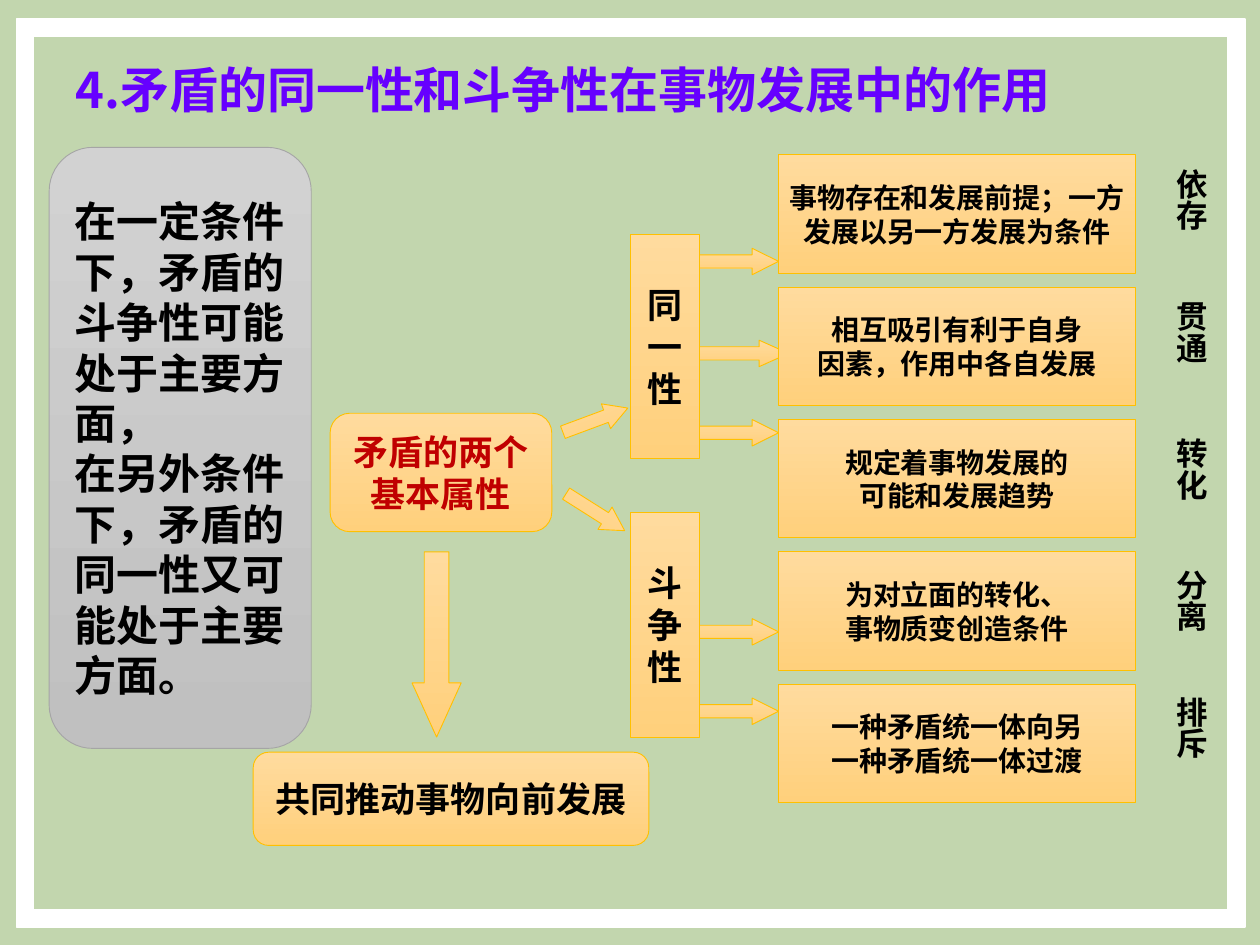
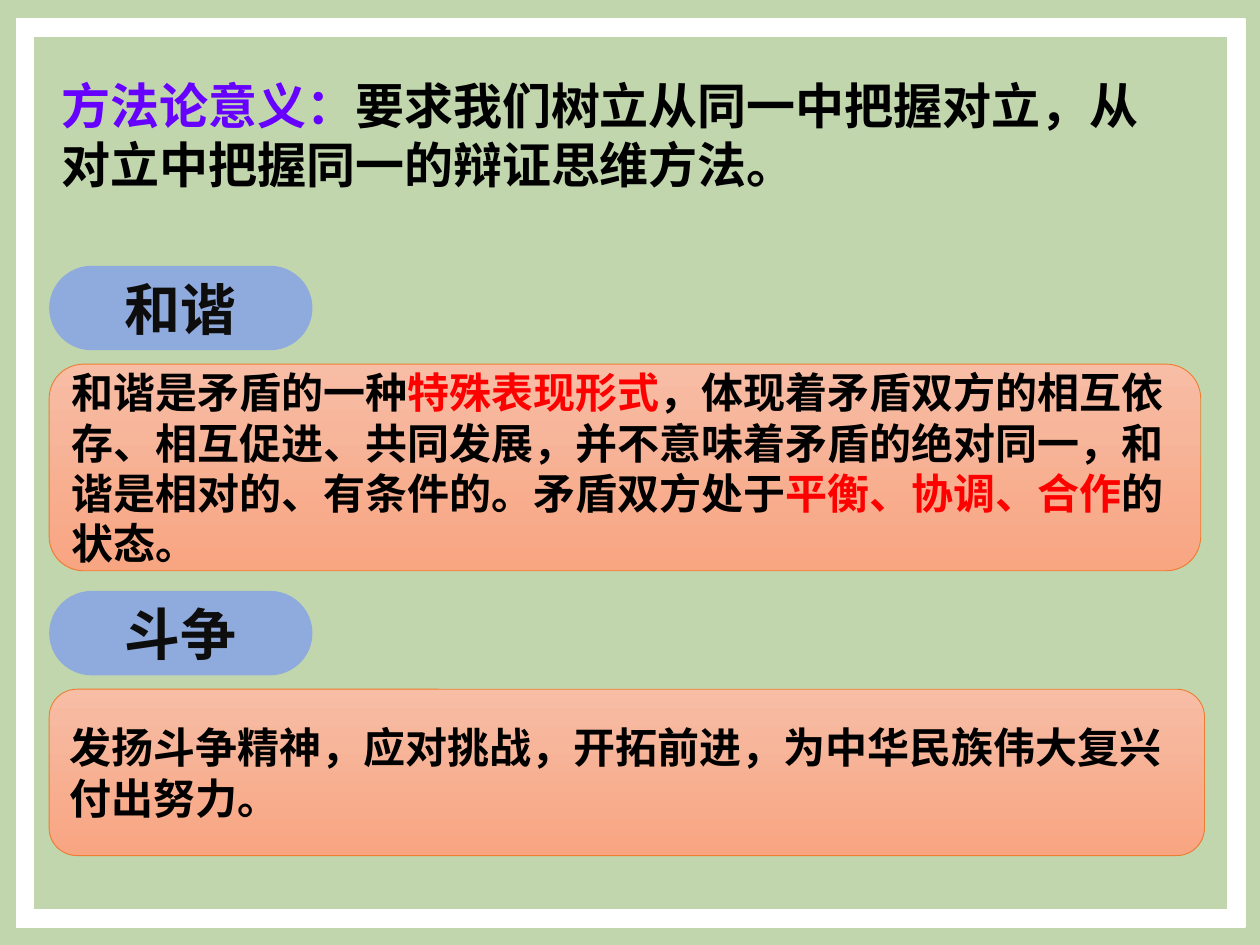
from pptx import Presentation
from pptx.dml.color import RGBColor
from pptx.enum import shapes, text
from pptx.oxml.ns import qn
from pptx.util import Inches, Pt
from lxml import etree

KIND = shapes.MSO_SHAPE
LEFT, CENTER = text.PP_ALIGN.LEFT, text.PP_ALIGN.CENTER
SC, JP, ARIAL = "Noto Sans CJK SC", "Noto Sans CJK JP", "Arial"

COLORS = {
    "page": "C2D6AE", "white": "FFFFFF", "black": "000000", "title": "6600FF",
    "dark_red": "C00000", "red": "FF0000", "pill": "8FAADC", "pill_text": "0D0D0D",
}
# Gradient top, gradient bottom, outline
THEMES = {
    "gold": ("FFDB9E", "FFD07C", "FFC000"),
    "gray": ("D2D2D2", "C0C0C0", "A5A5A5"),
    "coral": ("F7BDA5", "F8A582", "ED7D31"),
}

# ---- Content: text is a list of paragraphs, each a list of (words, colour) ----
ROLE_TITLE = [[("4.矛盾的同一性和斗争性在事物发展中的作用", "title")]]
CONDITIONS = [
    [("在一定条件下，矛盾的斗争性可能处于主要方面，", "black")],
    [("在另外条件下，矛盾的同一性又可能处于主要方面。", "black")],
]
CORE = [[("矛盾的两个基本属性", "dark_red")]]
RESULT = [[("共同推动事物向前发展", "black")]]
ATTRIBUTES = [("同一性", 1.86), ("斗争性", 4.07)]  # words, top
# Lines of the effect, keyword beside it, top of the keyword
EFFECTS = [
    (("事物存在和发展前提；一方", "发展以另一方发展为条件"), "依存", 1.24),
    (("相互吸引有利于自身", "因素，作用中各自发展"), "贯通", 2.29),
    (("规定着事物发展的", "可能和发展趋势"), "转化", 3.38),
    (("为对立面的转化、", "事物质变创造条件"), "分离", 4.42),
    (("一种矛盾统一体向另", "一种矛盾统一体过渡"), "排斥", 5.43),
]
EFFECT_ARROWS = [(1.97, 0.63), (2.7, 0.71), (3.33, 0.63), (4.91, 0.63), (5.54, 0.63)]
BRANCH_ARROWS = [(3.23, 339.6), (3.96, 32.3)]  # top, rotation

METHOD_TITLE = [[("方法论意义：", "title"),
                 ("要求我们树立从同一中把握对立，从对立中把握同一的辩证思维方法。", "black")]]
HARMONY = [[
    ("和谐是矛盾的一种", "black"), ("特殊表现形式", "red"),
    ("，体现着矛盾双方的相互依存、相互促进、共同发展，并不意味着矛盾的绝对同一，"
     "和谐是相对的、有条件的。矛盾双方处于", "black"),
    ("平衡、协调、合作", "red"), ("的状态。", "black"),
]]
STRUGGLE = [[("发扬斗争精神，应对挑战，开拓前进，为中华民族伟大复兴付出努力。", "black")]]
# Heading, its top, body, place of the body
SECTIONS = [
    ("和谐", 2.11, HARMONY, (0.39, 2.89, 9.14, 1.64)),
    ("斗争", 4.69, STRUGGLE, (0.39, 5.47, 9.17, 1.32)),
]

# ---- Grid of the diagram, in inches ----
MARGIN = 0.39
ATTRIBUTE_X, ATTRIBUTE_W, ATTRIBUTE_H = 5, 0.55, 1.78
EFFECT_X, EFFECT_W, EFFECT_H = 6.18, 2.83, 0.94
EFFECT_TOP, EFFECT_PITCH = 1.23, 1.05
KEYWORD_X, KEYWORD_W = 9.15, 0.5
ARROW_H = 0.21


def rgb(name):
    return RGBColor.from_string(COLORS[name])


def write(shape, paragraphs, size, font=SC, align=LEFT,
          anchor=text.MSO_ANCHOR.MIDDLE, wrap=True):
    frame = shape.text_frame
    frame.word_wrap = wrap
    frame.auto_size = text.MSO_AUTO_SIZE.NONE
    frame.vertical_anchor = anchor
    for i, runs in enumerate(paragraphs):
        paragraph = frame.add_paragraph() if i else frame.paragraphs[0]
        paragraph.alignment = align
        paragraph.line_spacing = Pt(size * 1.2)
        for words, color in runs:
            run = paragraph.add_run()
            run.text = words
            run.font.size, run.font.bold, run.font.name = Pt(size), True, font
            run.font.color.rgb = rgb(color)
            east_asian = etree.Element(qn("a:ea"), typeface=SC if font == ARIAL else font)
            run.font._element.find(qn("a:latin")).addnext(east_asian)


def draw(slide, kind, place, theme=None, fill=None, adjust=()):
    """Add a preset shape with a themed gradient or a plain fill."""
    shape = slide.shapes.add_shape(kind, *map(Inches, place))
    shape.shadow.inherit = False
    for i, value in enumerate(adjust):
        shape.adjustments[i] = value
    if theme:
        top, bottom, outline = THEMES[theme]
        shape.fill.gradient()
        shape.fill.gradient_angle = 270
        for stop, color in zip(shape.fill.gradient_stops, (top, bottom)):
            stop.color.rgb = RGBColor.from_string(color)
        shape.line.color.rgb = RGBColor.from_string(outline)
        shape.line.width = Pt(0.5)
    else:
        shape.fill.solid()
        shape.fill.fore_color.rgb = rgb(fill)
        shape.line.fill.background()
    return shape


def add_slide(prs, title, place):
    slide = prs.slides.add_slide(prs.slide_layouts[5])
    heading = slide.shapes.title
    heading.left, heading.top, heading.width, heading.height = map(Inches, place)
    write(heading, title, 28, anchor=text.MSO_ANCHOR.TOP)
    return slide


def set_master(prs, slide):
    """Give the master its background and white frame."""
    master = prs.slide_master
    master.background.fill.solid()
    master.background.fill.fore_color.rgb = rgb("page")
    border = draw(slide, KIND.FRAME, (0.13, 0.15, 9.75, 7.21), fill="white", adjust=[0.019])
    border.line.color.rgb = rgb("white")
    border.line.width = Pt(1)
    border.element.nvSpPr.cNvPr.set("id", "99")
    master.element.cSld.spTree.insert(2, border.element)


def build_diagram(slide):
    # Arrows
    for top, rotation in BRANCH_ARROWS:
        arrow = draw(slide, KIND.RIGHT_ARROW, (4.45, top, 0.55, ARROW_H), "gold",
                     adjust=(0.5, 0.88))
        arrow.rotation = rotation
    for top, width in EFFECT_ARROWS:
        draw(slide, KIND.RIGHT_ARROW,
             (ATTRIBUTE_X + ATTRIBUTE_W, top, width, ARROW_H), "gold",
             adjust=(0.5, 1 if width < 0.7 else 1.12))
    draw(slide, KIND.DOWN_ARROW, (3.27, 4.38, 0.39, 1.47), "gold", adjust=(0.5, 1.1))

    # Two attributes, one character a line
    for words, top in ATTRIBUTES:
        attribute = draw(slide, KIND.RECTANGLE,
                         (ATTRIBUTE_X, top, ATTRIBUTE_W, ATTRIBUTE_H), "gold")
        write(attribute, [[(c, "black")] for c in words], 20, ARIAL, CENTER, wrap=False)

    # Effects and their vertical keywords
    for row, (lines, keyword, keyword_top) in enumerate(EFFECTS):
        top = EFFECT_TOP + row * EFFECT_PITCH
        effect = draw(slide, KIND.RECTANGLE, (EFFECT_X, top, EFFECT_W, EFFECT_H), "gold")
        write(effect, [[(line, "black")] for line in lines], 16, ARIAL, CENTER, wrap=False)
        label = slide.shapes.add_textbox(
            *map(Inches, (KEYWORD_X, keyword_top, KEYWORD_W, EFFECT_H)))
        write(label, [[(keyword, "black")]], 18, anchor=text.MSO_ANCHOR.TOP)
        label.text_frame._txBody.bodyPr.set("vert", "eaVert")

    # Core, result and conditions
    core = draw(slide, KIND.ROUNDED_RECTANGLE, (2.62, 3.28, 1.76, EFFECT_H), "gold")
    write(core, CORE, 20, JP, CENTER)
    result = draw(slide, KIND.ROUNDED_RECTANGLE, (2.01, 5.97, 3.14, 0.74), "gold")
    write(result, RESULT, 20, JP, CENTER)
    conditions = draw(slide, KIND.ROUNDED_RECTANGLE, (MARGIN, 1.17, 2.08, 4.77), "gray")
    write(conditions, CONDITIONS, 24)


def build_sections(slide):
    for heading, top, body, place in SECTIONS:
        panel = draw(slide, KIND.ROUNDED_RECTANGLE, place, "coral")
        write(panel, body, 24)
        pill = draw(slide, KIND.FLOWCHART_TERMINATOR, (MARGIN, top, 2.09, 0.67), fill="pill")
        write(pill, [[(heading, "pill_text")]], 32, align=CENTER)


def main():
    prs = Presentation()
    prs.slide_width, prs.slide_height = Inches(10), Inches(7.5)
    role = add_slide(prs, ROLE_TITLE, (0.5, 0.42, 8.83, 0.67))
    set_master(prs, role)
    build_diagram(role)
    build_sections(add_slide(prs, METHOD_TITLE, (MARGIN, 0.55, 8.98, 1.04)))
    prs.save("out.pptx")


if __name__ == "__main__":
    main()
